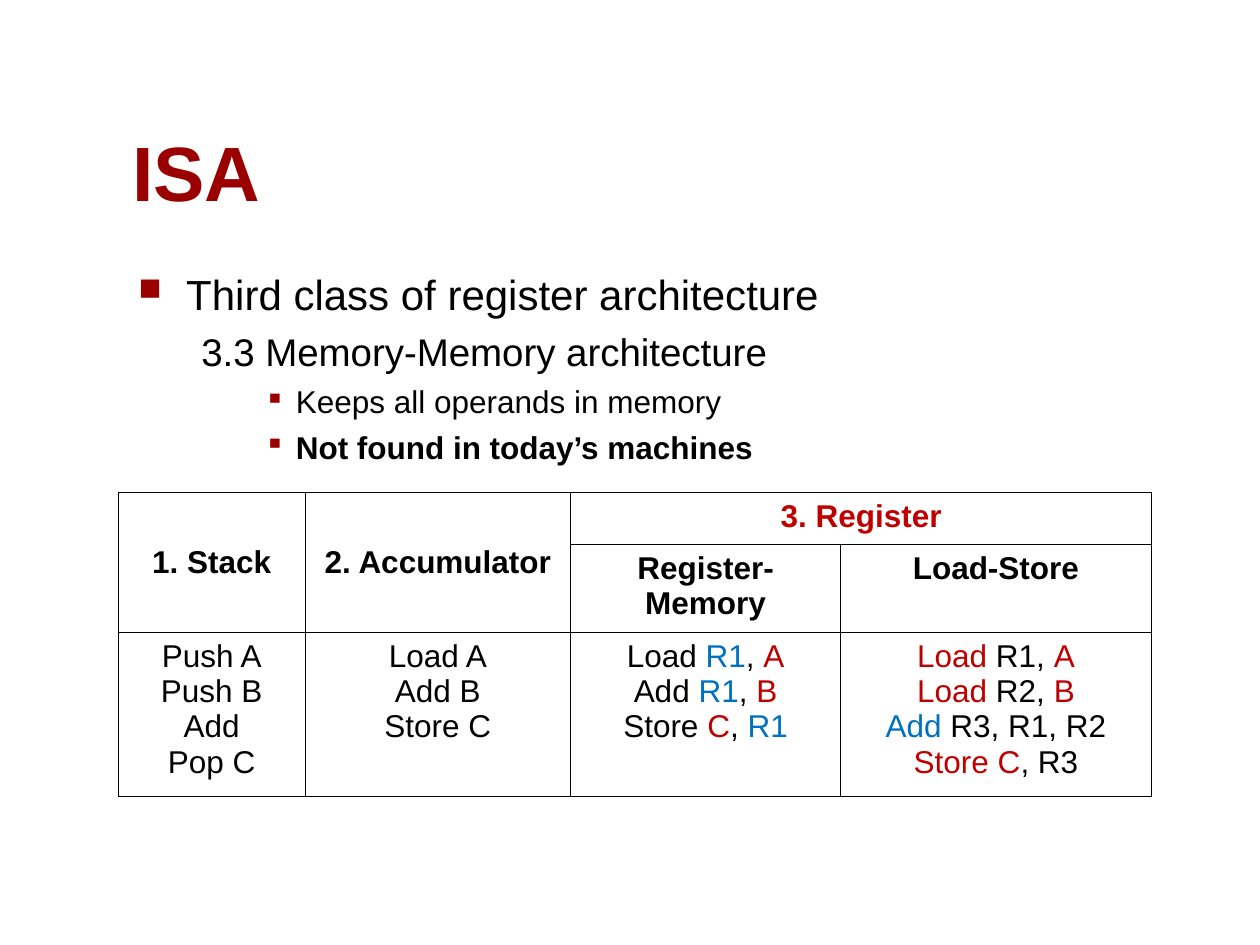
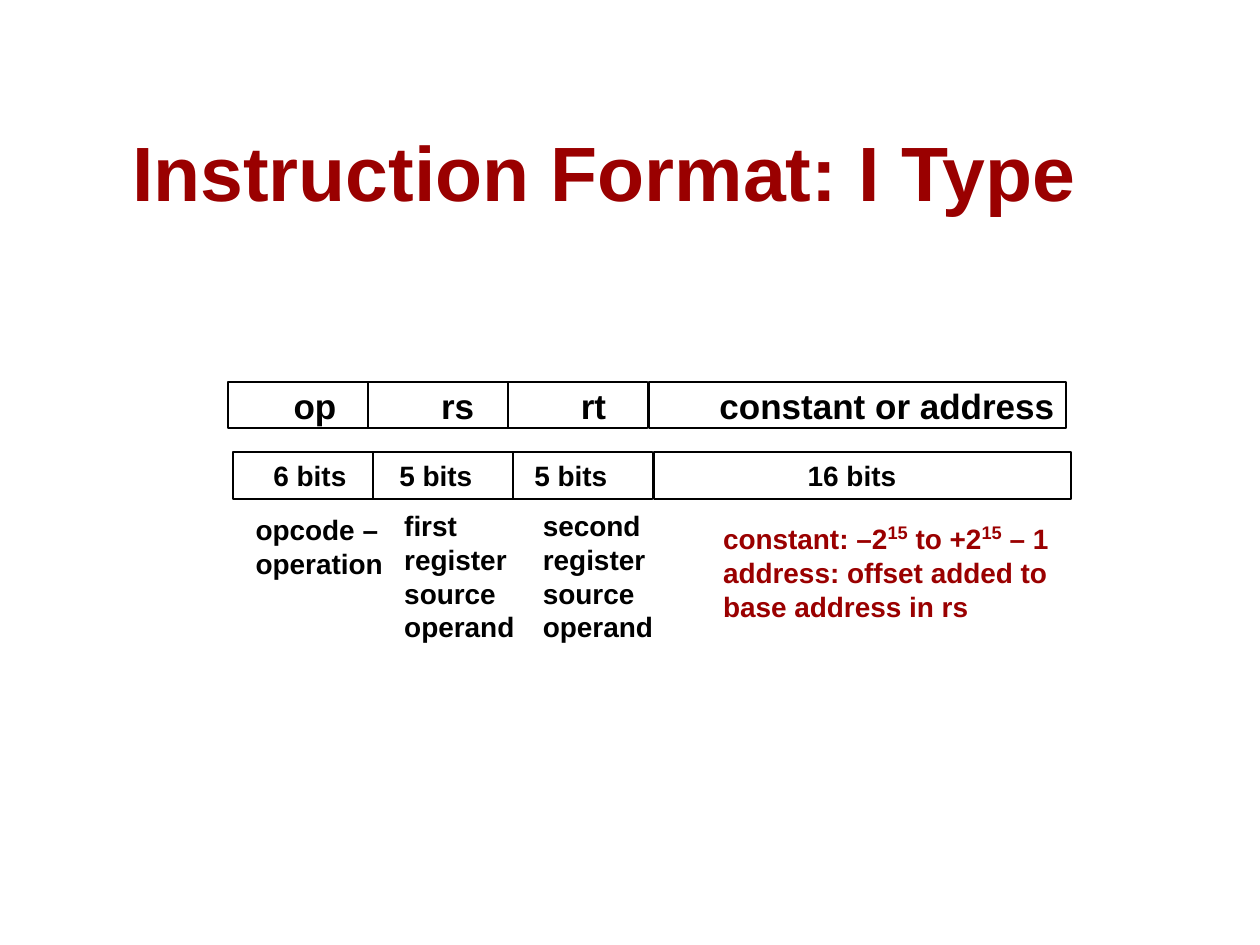
from pptx import Presentation
from pptx.dml.color import RGBColor
from pptx.enum.shapes import MSO_SHAPE
from pptx.enum.text import MSO_ANCHOR, PP_ALIGN
from pptx.oxml import parse_xml
from pptx.oxml.ns import nsdecls
from pptx.util import Pt

PX = 9144  # one hundred px to the inch


class Theme:
    font = "Arial"
    dark_red, red, blue = "9A0000", "C00000", "0070C0"
    black = "000000"
    title, topic, subtopic = 44, 24, 22
    text, field, note = 18, 20, 16
    border, outline = 0.45, 1


def write(frame, lines, align=PP_ALIGN.LEFT, **style):
    """Fill a frame; a line is a string or a list of (text, changed style)."""
    for index, line in enumerate(lines):
        para = frame.paragraphs[0] if index == 0 else frame.add_paragraph()
        para.alignment = align
        for text, changes in [(line, {})] if isinstance(line, str) else line:
            look = {"color": Theme.black, "bold": False, **style, **changes}
            span = para.add_run()
            span.text = text
            span.font.color.rgb = RGBColor.from_string(look["color"])
            values = {"name": Theme.font, "size": Pt(look["size"]), "bold": look["bold"]}
            for name, value in values.items():
                setattr(span.font, name, value)
            if "baseline" in look:
                span.font._element.set("baseline", str(look["baseline"]))


def add_text(page, place, lines, anchor=MSO_ANCHOR.TOP, **style):
    box = page.shapes.add_textbox(*[n * PX for n in place])
    box.text_frame.word_wrap = True
    box.text_frame.vertical_anchor = anchor
    write(box.text_frame, lines, **style)
    return box


deck = Presentation()
deck.slide_width, deck.slide_height = 1000 * PX, 750 * PX

# Pages with the shared title style
pages = []
for title in ["ISA", "Instruction Format: I Type"]:
    page = deck.slides.add_slide(deck.slide_layouts[6])
    add_text(page, (95, 94, 893, 83), [title], anchor=MSO_ANCHOR.BOTTOM,
             size=Theme.title, color=Theme.dark_red, bold=True)
    pages.append(page)
isa_page, format_page = pages

# Outline: text, size, bold, left margin, indent, space before, bullet, bullet percent
outline = [
    ("Third class of register architecture", Theme.topic, False, 38, -38, 0, "■", 75),
    ("3.3 Memory-Memory architecture", Theme.subtopic, False, 81, -31, 5.5, None, 0),
    ("Keeps all operands in memory", Theme.text, False, 125, -25, 4.5, "▪", 90),
    ("Not found in today’s machines", Theme.text, True, 125, -25, 4.5, "▪", 90),
]
body = add_text(isa_page, (100, 208, 887, 458),
                [[(text, {"size": size, "bold": bold})] for text, size, bold, *rest in outline])
for para, (*head, margin, indent, before, bullet, percent) in zip(body.text_frame.paragraphs, outline):
    para.space_before = Pt(before)
    properties = para._p.get_or_add_pPr()
    properties.set("marL", str(margin * PX))
    properties.set("indent", str(indent * PX))
    if bullet:
        for element in [
            f'<a:buClr {nsdecls("a")}><a:srgbClr val="{Theme.dark_red}"/></a:buClr>',
            f'<a:buSzPct {nsdecls("a")} val="{percent * 1000}"/>',
            f'<a:buChar {nsdecls("a")} char="{bullet}"/>',
        ]:
            properties.append(parse_xml(element))

# Table of instruction set classes
red, blue = {"color": Theme.red}, {"color": Theme.blue}
rows = [
    [["1. Stack"], ["2. Accumulator"], [[("3. Register", red)]], []],
    [[], [], ["Register-Memory"], ["Load-Store"]],
    [
        ["Push A", "Push B", "Add", "Pop C"],
        ["Load A", "Add B", "Store C"],
        [
            [("Load ", {}), ("R1", blue), (", ", {}), ("A", red)],
            [("Add ", {}), ("R1", blue), (", ", {}), ("B", red)],
            [("Store ", {}), ("C", red), (", ", {}), ("R1", blue)],
        ],
        [
            [("Load", red), (" R1, ", {}), ("A", red)],
            [("Load", red), (" R2, ", {}), ("B", red)],
            [("Add", blue), (" R3, R1, R2", {})],
            [("Store C", red), (", R3", {})],
        ],
    ],
]
widths, heights = [148, 211, 214, 247], [41, 70, 130]
table = isa_page.shapes.add_table(len(heights), len(widths), 94 * PX, 391 * PX,
                                  sum(widths) * PX, sum(heights) * PX).table
table.first_row = table.horz_banding = False
for column, width in zip(table.columns, widths):
    column.width = width * PX
for row, height in zip(table.rows, heights):
    row.height = height * PX
for row_index, row in enumerate(rows):
    for column_index, lines in enumerate(row):
        cell = table.cell(row_index, column_index)
        merged_down = row_index == 0 and column_index < 2
        cell.vertical_anchor = MSO_ANCHOR.MIDDLE if merged_down else MSO_ANCHOR.TOP
        write(cell.text_frame, lines, PP_ALIGN.CENTER, size=Theme.text, bold=row_index < 2)
        for side in ["lnL", "lnR", "lnT", "lnB"]:
            cell._tc.get_or_add_tcPr().append(parse_xml(
                f'<a:{side} {nsdecls("a")} w="{Pt(Theme.border)}"><a:solidFill>'
                f'<a:srgbClr val="{Theme.black}"/></a:solidFill></a:{side}>'))
        cell.fill.background()
for first, last in [((0, 0), (1, 0)), ((0, 1), (1, 1)), ((0, 2), (0, 3))]:
    table.cell(*first).merge(table.cell(*last))

# Instruction fields: left, top, size and (text, text inset) for each row
field_rows = [
    (181, 303, Theme.field, [("op", 52), ("rs", 58), ("rt", 58), ("constant or address", 56)]),
    (185, 359, Theme.note, [("6 bits", 32), ("5 bits", 21), ("5 bits", 17), ("16 bits", 122)]),
]
fields = [(0, 111), (111, 111), (222, 111), (334, 331)]
for left, top, size, labels in field_rows:
    group = format_page.shapes.add_group_shape()
    for (offset, width), (label, inset) in zip(fields, labels):
        field = group.shapes.add_shape(MSO_SHAPE.RECTANGLE, (left + offset) * PX, top * PX,
                                       width * PX, 37 * PX)
        field.shadow.inherit = False
        field.fill.background()
        field.line.color.rgb = RGBColor.from_string(Theme.black)
        field.line.width = Pt(Theme.outline)
        settings = {"margin_left": inset * PX, "margin_right": 0, "margin_top": 0,
                    "margin_bottom": 0, "vertical_anchor": MSO_ANCHOR.MIDDLE, "word_wrap": True}
        for name, value in settings.items():
            setattr(field.text_frame, name, value)
        write(field.text_frame, [label], size=size, bold=True)

# Notes under the fields
power = ("15", {"size": Theme.text, "baseline": 30000})
operand = ["register", "source", "operand"]
notes = [
    ((193, 402, 125, 64), ["opcode –", "operation"], Theme.black),
    ((311, 399, 112, 117), ["first", *operand], Theme.black),
    ((421, 399, 112, 117), ["second", *operand], Theme.black),
    ((564, 406, 283, 94),
     [[("constant: –2", {}), power, (" to +2", {}), power, (" – 1", {})],
      "address: offset added to", "base address in rs"], Theme.dark_red),
]
for place, lines, color in notes:
    add_text(format_page, place, lines, size=Theme.note, color=color, bold=True)

deck.save("out.pptx")
